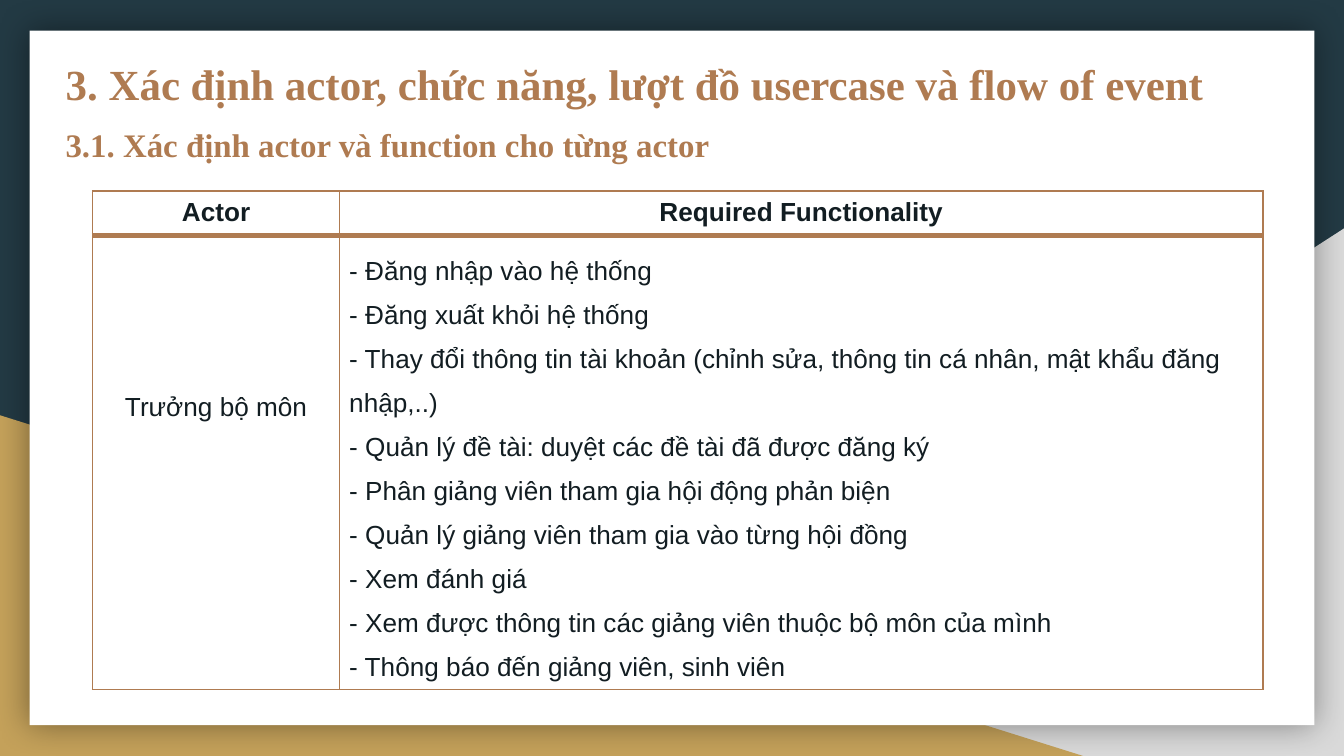
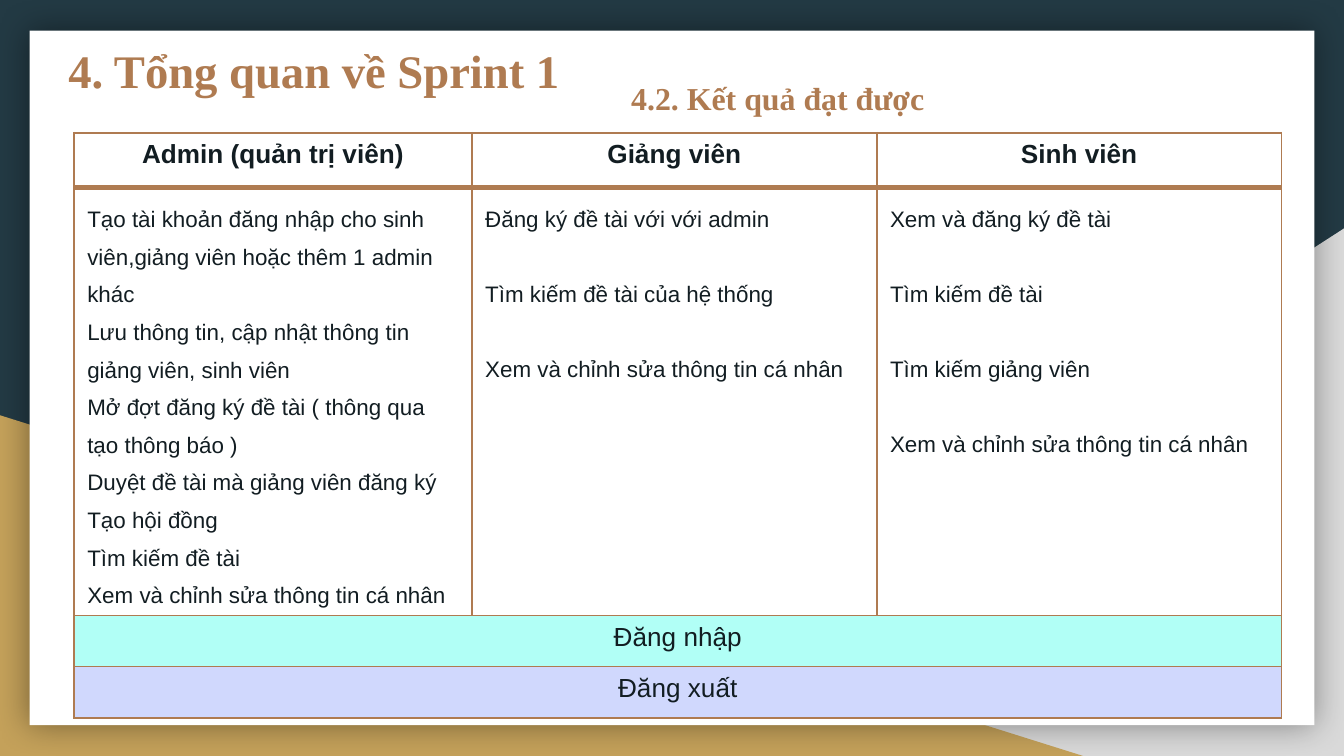
import pptx
import pptx.util
import pptx.dml.color
import pptx.enum.shapes
import pptx.enum.text
import pptx.oxml.ns
import lxml.etree

Cm = pptx.util.Cm
Pt = pptx.util.Pt
qn = pptx.oxml.ns.qn
RGB = pptx.dml.color.RGBColor.from_string
ALIGN = pptx.enum.text.PP_ALIGN
ANCHOR = pptx.enum.text.MSO_ANCHOR
SHAPE = pptx.enum.shapes.MSO_SHAPE

COLORS = {
    "navy": "233A44",
    "gray": "D9D9D9",
    "gold": "C4A15A",
    "white": "FFFFFF",
    "brown": "AF7B51",
    "ink": "121D22",
    "aqua": "B1FFF6",
    "lavender": "D0D8FD",
    "black": "000000",
}


def write_text(frame, text, size=14, font="Arial", color="ink", bold=False,
               align=ALIGN.LEFT, spacing=1.0, after=0):
    frame.word_wrap = True
    for number, line in enumerate(text.split("\n")):
        paragraph = frame.add_paragraph() if number else frame.paragraphs[0]
        paragraph.alignment = align
        paragraph.line_spacing = spacing
        paragraph.space_before = Pt(0)
        paragraph.space_after = Pt(after)
        run = paragraph.add_run()
        run.text = line
        run.font.size = Pt(size)
        run.font.name = font
        run.font.bold = bold
        run.font.color.rgb = RGB(COLORS[color])


def draw_border(cell, side, width):
    line = lxml.etree.SubElement(cell._tc.get_or_add_tcPr(), qn(f"a:ln{side}"), w=str(Pt(width)))
    fill = lxml.etree.SubElement(line, qn("a:solidFill"))
    lxml.etree.SubElement(fill, qn("a:srgbClr"), val=COLORS["brown"])


header = {"bold": True, "align": ALIGN.CENTER}
centered = {"align": ALIGN.CENTER}
duties = {"spacing": 1.5}
results = {"size": 12, "spacing": 1.5}
spaced_results = {**results, "after": 20}

pages = [
    {
        "title": ("3. Xác định actor, chức năng, lượt đồ usercase và flow of event", 23),
        "title_box": (0.99, 0.74, 23.39, 1.68),
        "subtitle": ("3.1. Xác định actor và function cho từng actor", 17.6, 1.0),
        "subtitle_box": (0.99, 2.11, 15.82, 1.68),
        "corner": (1.75, 3.61),
        "columns": [4.67, 17.45],
        "rows": [0.84, 8.46],
        "side_margin": 0.18,
        "cells": [
            [("Actor", header), ("Required Functionality", header)],
            [
                ("Trưởng bộ môn", centered),
                ("- Đăng nhập vào hệ thống\n"
                 "- Đăng xuất khỏi hệ thống\n"
                 "- Thay đổi thông tin tài khoản (chỉnh sửa, thông tin cá nhân, "
                 "mật khẩu đăng nhập,..)\n"
                 "- Quản lý đề tài: duyệt các đề tài đã được đăng ký\n"
                 "- Phân giảng viên tham gia hội động phản biện\n"
                 "- Quản lý giảng viên tham gia vào từng hội đồng\n"
                 "- Xem đánh giá\n"
                 "- Xem được thông tin các giảng viên thuộc bộ môn của mình\n"
                 "- Thông báo đến giảng viên, sinh viên", duties),
            ],
        ],
        "fills": ["white", "white"],
    },
    {
        "title": ("4. Tổng quan về Sprint 1", 25),
        "title_box": (1.04, 0.48, 12.22, 1.68),
        "subtitle": ("4.2. Kết quả đạt được", 17.1, 0.9),
        "subtitle_box": (11.68, 1.32, 6.48, 1.22),
        "corner": (1.4, 2.51),
        "columns": [7.52, 7.65, 7.65],
        "rows": [1.04, 8, 0.97, 0.97],
        "side_margin": 0.25,
        "cells": [
            [("Admin (quản trị viên)", header), ("Giảng viên", header), ("Sinh viên", header)],
            [
                ("Tạo tài khoản đăng nhập cho sinh viên,giảng viên hoặc thêm 1 admin khác\n"
                 "Lưu thông tin, cập nhật thông tin giảng viên, sinh viên\n"
                 "Mở đợt đăng ký đề tài ( thông qua tạo thông báo )\n"
                 "Duyệt đề tài mà giảng viên đăng ký\n"
                 "Tạo hội đồng\n"
                 "Tìm kiếm đề tài\n"
                 "Xem và chỉnh sửa thông tin cá nhân", results),
                ("Đăng ký đề tài với với admin\n"
                 "Tìm kiếm đề tài của hệ thống\n"
                 "Xem và chỉnh sửa thông tin cá nhân", spaced_results),
                ("Xem và đăng ký đề tài\n"
                 "Tìm kiếm đề tài\n"
                 "Tìm kiếm giảng viên\n"
                 "Xem và chỉnh sửa thông tin cá nhân", spaced_results),
            ],
            [("Đăng nhập", centered)],
            [("Đăng xuất", centered)],
        ],
        "fills": ["white", "white", "aqua", "lavender"],
    },
]

deck = pptx.Presentation()
deck.slide_width = Cm(25.4)
deck.slide_height = Cm(14.29)
layout = deck.slide_layouts[5]
layout.background.fill.solid()
layout.background.fill.fore_color.rgb = RGB(COLORS["navy"])
slides = [deck.slides.add_slide(layout) for page in pages]

backdrop = [
    (SHAPE.RIGHT_TRIANGLE, "gray", (9.96, 4.32, 15.44, 9.97)),
    (SHAPE.RIGHT_TRIANGLE, "gold", (0, 7.85, 20.47, 6.44)),
    (SHAPE.RECTANGLE, "white", (0.56, 0.58, 24.28, 13.13)),
]
for depth, (outline, color, box) in enumerate(backdrop):
    part = slides[0].shapes.add_shape(outline, *map(Cm, box))
    part.shadow.inherit = False
    part.fill.solid()
    part.fill.fore_color.rgb = RGB(COLORS[color])
    part.line.fill.background()
    properties = part.element.spPr
    if color == "gray":
        properties.find(qn("a:xfrm")).set("flipH", "1")
    if color == "white":
        glow = lxml.etree.SubElement(properties.find(qn("a:effectLst")), qn("a:outerShdw"),
                                     blurRad=str(Pt(18)), dist="0", dir="0",
                                     algn="ctr", rotWithShape="0")
        tint = lxml.etree.SubElement(glow, qn("a:srgbClr"), val=COLORS["black"])
        lxml.etree.SubElement(tint, qn("a:alpha"), val="40000")
    layout.element.cSld.spTree.insert(2 + depth, part.element)

for page, slide in zip(pages, slides):
    title = slide.shapes.title
    subtitle = slide.shapes.add_textbox(*map(Cm, page["subtitle_box"]))
    title.left, title.top, title.width, title.height = map(Cm, page["title_box"])
    for heading, anchor in ((title, ANCHOR.MIDDLE), (subtitle, ANCHOR.TOP)):
        frame = heading.text_frame
        frame.auto_size = pptx.enum.text.MSO_AUTO_SIZE.NONE
        frame.vertical_anchor = anchor
        frame.margin_left = frame.margin_right = Cm(0.25)
        frame.margin_top = frame.margin_bottom = Cm(0.25)
    heading_style = {"font": "Times New Roman", "color": "brown", "bold": True}
    text, size = page["title"]
    write_text(title.text_frame, text, size=size, **heading_style)
    text, size, spacing = page["subtitle"]
    write_text(subtitle.text_frame, text, size=size, spacing=spacing, **heading_style)

    columns, rows = page["columns"], page["rows"]
    left, top = page["corner"]
    table = slide.shapes.add_table(len(rows), len(columns), Cm(left), Cm(top),
                                   Cm(sum(columns)), Cm(sum(rows))).table
    table.horz_banding = False
    for column, width in zip(table.columns, columns):
        column.width = Cm(width)
    for r, height in enumerate(rows):
        table.rows[r].height = Cm(height)
        for c in range(len(columns)):
            cell = table.cell(r, c)
            cell.margin_left = cell.margin_right = Cm(page["side_margin"])
            cell.margin_top = cell.margin_bottom = Cm(0.13)
            for side in "LRTB":
                under_header = (r, side) in ((0, "B"), (1, "T"))
                draw_border(cell, side, 3 if under_header else 1)
            cell.fill.solid()
            cell.fill.fore_color.rgb = RGB(COLORS[page["fills"][r]])
        contents = page["cells"][r]
        if len(contents) < len(columns):
            table.cell(r, 0).merge(table.cell(r, len(columns) - 1))
        for c, (text, style) in enumerate(contents):
            write_text(table.cell(r, c).text_frame, text, **style)
            if text == "Trưởng bộ môn":
                table.cell(r, c).margin_top = Cm(2.97)

deck.save("out.pptx")
